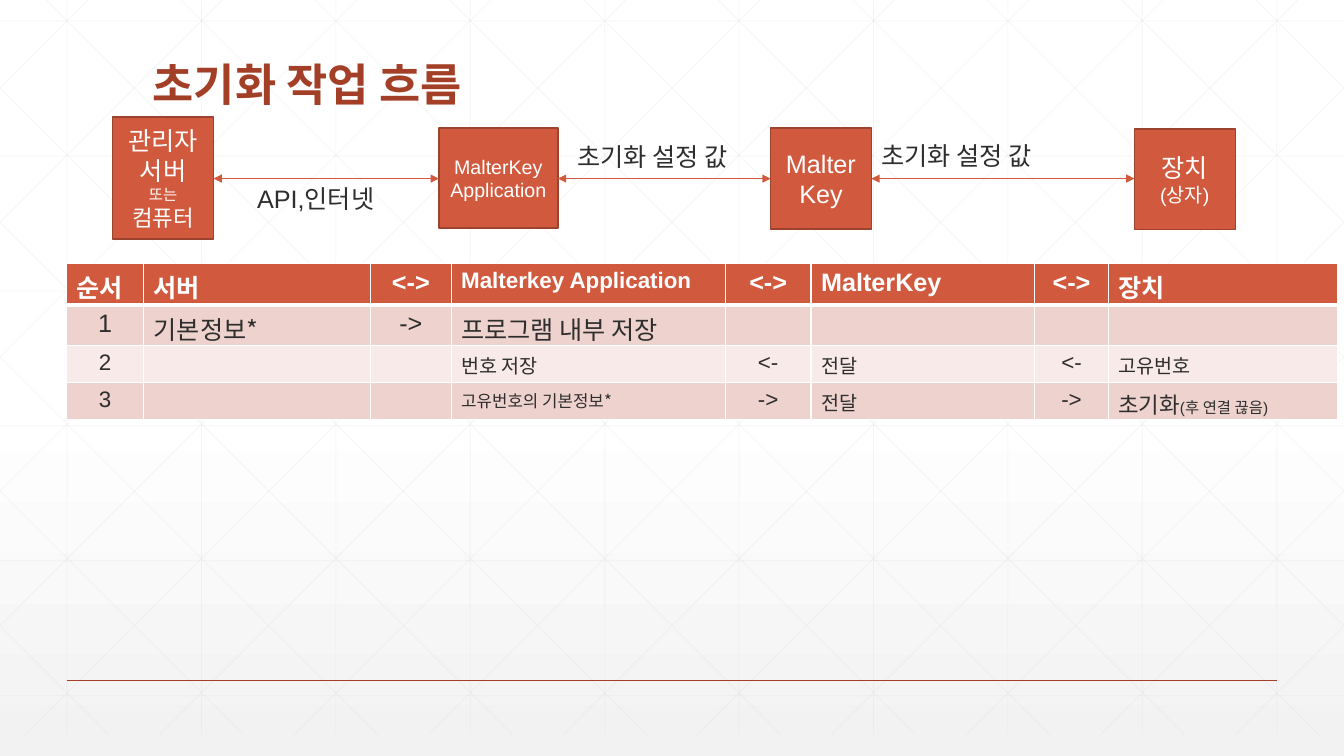
from dataclasses import dataclass
from itertools import pairwise

import pptx
import pptx.dml.color
import pptx.enum.shapes
import pptx.enum.text
import pptx.oxml
import pptx.oxml.ns
import pptx.util
from pptx.util import Cm

HUES = {
    "brick": "D15A3E", "edge": "9B432E", "rust": "A43F27", "ink": "2D2E2D",
    "white": "FFFFFF", "fog": "F2F2F2", "grid": "D9D9D9",
    "rose": "EED2CE", "blush": "F7EAE8",
}
ARIAL, NOTO = "Arial", "Noto Sans CJK KR"
WIDE, HIGH = 33.87, 19.05
CENTER = pptx.enum.text.PP_ALIGN.CENTER
MIDDLE = pptx.enum.text.MSO_ANCHOR.MIDDLE
BOTTOM = pptx.enum.text.MSO_ANCHOR.BOTTOM


@dataclass
class Box:
    x: float
    y: float
    w: float
    h: float
    lines: list[tuple[str, int]]


@dataclass
class Label:
    x: float
    y: float
    w: float
    text: str


@dataclass
class Entry:
    text: str = ""
    size: int = 16
    font: str = ARIAL
    tail: str = ""


def tint(name: str) -> pptx.dml.color.RGBColor:
    return pptx.dml.color.RGBColor.from_string(HUES[name])


def style(para, size: int, hue: str, bold: bool = False, font: str = ARIAL) -> None:
    para.font.size = pptx.util.Pt(size)
    para.font.name = font
    para.font.bold = bold
    para.font.color.rgb = tint(hue)


def element(tag: str, attrs: str = "", inner: str = ""):
    space = pptx.oxml.ns.nsdecls("a")
    return pptx.oxml.parse_xml(f"<a:{tag} {space} {attrs}>{inner}</a:{tag}>")


def add_line(slide, x1: float, y1: float, x2: float, y2: float, hue: str,
             width: float, alpha: int = 100, arrows: bool = False) -> None:
    line = slide.shapes.add_connector(
        pptx.enum.shapes.MSO_CONNECTOR.STRAIGHT, Cm(x1), Cm(y1), Cm(x2), Cm(y2))
    line.line.color.rgb = tint(hue)
    line.line.width = pptx.util.Pt(width)
    props = line._element.spPr.find(pptx.oxml.ns.qn("a:ln"))
    if alpha < 100:
        color = props.find(".//" + pptx.oxml.ns.qn("a:srgbClr"))
        color.append(element("alpha", f'val="{alpha * 1000}"'))
    if arrows:
        for end in ("headEnd", "tailEnd"):
            props.append(element(end, 'type="triangle"'))
    line._element.spPr.append(element("effectLst"))


def add_text(slide, x: float, y: float, w: float, h: float, text: str):
    frame = slide.shapes.add_textbox(Cm(x), Cm(y), Cm(w), Cm(h)).text_frame
    frame.word_wrap = True
    frame.text = text
    return frame


def add_box(slide, box: Box) -> None:
    shape = slide.shapes.add_shape(
        pptx.enum.shapes.MSO_SHAPE.RECTANGLE, Cm(box.x), Cm(box.y), Cm(box.w), Cm(box.h))
    shape.shadow.inherit = False
    shape.fill.solid()
    shape.fill.fore_color.rgb = tint("brick")
    shape.line.color.rgb = tint("edge")
    shape.line.width = pptx.util.Pt(1)
    frame = shape.text_frame
    frame.word_wrap = True
    frame.vertical_anchor = MIDDLE
    frame.text = "\n".join(text for text, _ in box.lines)
    for para, (_, size) in zip(frame.paragraphs, box.lines):
        para.alignment = CENTER
        style(para, size, "white")


def fill_cell(cell, entry: Entry, row: int, col: int) -> None:
    head = row == 0
    props = cell._tc.get_or_add_tcPr()
    white = f'<a:solidFill><a:srgbClr val="{HUES["white"]}"/></a:solidFill>'
    for side in "LRTB":
        thick = (side == "B" and head) or (side == "T" and row == 1)
        props.append(element(f"ln{side}", f'w="{38100 if thick else 12700}"', white))
    cell.fill.solid()
    cell.fill.fore_color.rgb = tint("brick" if head else ("blush", "rose")[row % 2])
    para = cell.text_frame.paragraphs[0]
    if entry.text:
        para.add_run().text = entry.text
    if entry.tail:
        run = para.add_run()
        run.text = entry.tail
        run.font.size = pptx.util.Pt(11)
    if col in (0, 2, 4, 6) and (row, col) != (0, 0):
        para.alignment = CENTER
    style(para, entry.size, "white" if head else "ink", head, entry.font)


def add_grid(slide) -> None:
    step, top, low = 3.387, -0.53, 18.52
    for i in range(10):
        x = 1.69 + step * i
        add_line(slide, x, top, x, low, "grid", 0.5, 25)
    for i in range(6):
        y = 0.53 + 3.4 * i
        add_line(slide, 0, y, WIDE, y, "grid", 0.5, 25)
    # Diagonals, clipped at the slide sides, each with its mirror
    for i in range(-5, 10):
        x = 0.64 + step * i
        x1, x2 = max(x, 0), min(x + low - top, WIDE)
        y1, y2 = top + x1 - x, top + x2 - x
        add_line(slide, x1, y1, x2, y2, "grid", 0.5, 25)
        add_line(slide, WIDE - x1, y1, WIDE - x2, y2, "grid", 0.5, 25)


BOXES = [
    Box(2.84, 2.95, 2.54, 3.07, [("관리자 서버", 18), ("또는", 11), ("컴퓨터", 16)]),
    Box(11.06, 3.23, 3, 2.52, [("MalterKey Application", 14)]),
    Box(19.42, 3.23, 2.54, 2.54, [("MalterKey", 18)]),
    Box(28.59, 3.25, 2.54, 2.54, [("장치", 18), ("(상자)", 14)]),
]
LABELS = [
    Label(6.23, 4.5, 5.31, "API,인터넷"),
    Label(14.3, 3.44, 5.31, "초기화 설정 값"),
    Label(21.96, 3.42, 4.85, "초기화 설정 값"),
]
COLS = [1.94, 5.72, 2.03, 6.91, 2.16, 5.64, 1.85, 5.79]
ROWS = [1.04, 1.03, 0.93, 0.92]
BOTH = Entry("<->", 18)
CELLS = [
    [Entry("순서", 18), Entry("서버", 18), BOTH, Entry("Malterkey Application"),
     BOTH, Entry("MalterKey", 18), BOTH, Entry("장치", 18)],
    [Entry("1", 18), Entry("기본정보*", 18, NOTO), Entry("->", 18),
     Entry("프로그램 내부 저장", 18), Entry(), Entry(), Entry(), Entry()],
    [Entry("2"), Entry(), Entry(), Entry("번호 저장", 14, NOTO), Entry("<-"),
     Entry("전달", 14, NOTO), Entry("<-"), Entry("고유번호", 14)],
    [Entry("3"), Entry(), Entry(), Entry("고유번호의 기본정보*", 12, NOTO), Entry("->"),
     Entry("전달", 14, NOTO), Entry("->"), Entry("초기화", tail="(후 연결 끊음)")],
]


def main() -> None:
    deck = pptx.Presentation()
    deck.slide_width, deck.slide_height = Cm(WIDE), Cm(HIGH)
    slide = deck.slides.add_slide(deck.slide_layouts[6])

    # Background
    back = slide.background.fill
    back.gradient()
    back.gradient_angle = 270
    for stop, hue, place in zip(back.gradient_stops, ("white", "fog"), (0.53, 1)):
        stop.color.rgb = tint(hue)
        stop.position = place
    add_grid(slide)
    add_line(slide, 1.69, 17.15, 32.18, 17.15, "rust", 1)

    # Title
    frame = add_text(slide, 3.6, 1.4, 26.67, 1.52, "초기화 작업 흐름")
    frame.vertical_anchor = BOTTOM
    frame.paragraphs[0].line_spacing = 0.9
    style(frame.paragraphs[0], 32, "rust", True, NOTO)

    # Flow
    for box in BOXES:
        add_box(slide, box)
    for left, right in pairwise(BOXES):
        add_line(slide, left.x + left.w, 4.5, right.x, 4.5, "brick", 0.5, arrows=True)
    for label in LABELS:
        frame = add_text(slide, label.x, label.y, label.w, 1.04, label.text)
        style(frame.paragraphs[0], 18, "ink")

    # Steps table
    table = slide.shapes.add_table(
        len(ROWS), len(COLS), Cm(1.68), Cm(6.64), Cm(sum(COLS)), Cm(sum(ROWS))).table
    table.first_row = table.horz_banding = False
    for col, width in zip(table.columns, COLS):
        col.width = Cm(width)
    for r, (height, entries) in enumerate(zip(ROWS, CELLS)):
        table.rows[r].height = Cm(height)
        for c, entry in enumerate(entries):
            fill_cell(table.cell(r, c), entry, r, c)

    deck.save("out.pptx")


if __name__ == "__main__":
    main()
